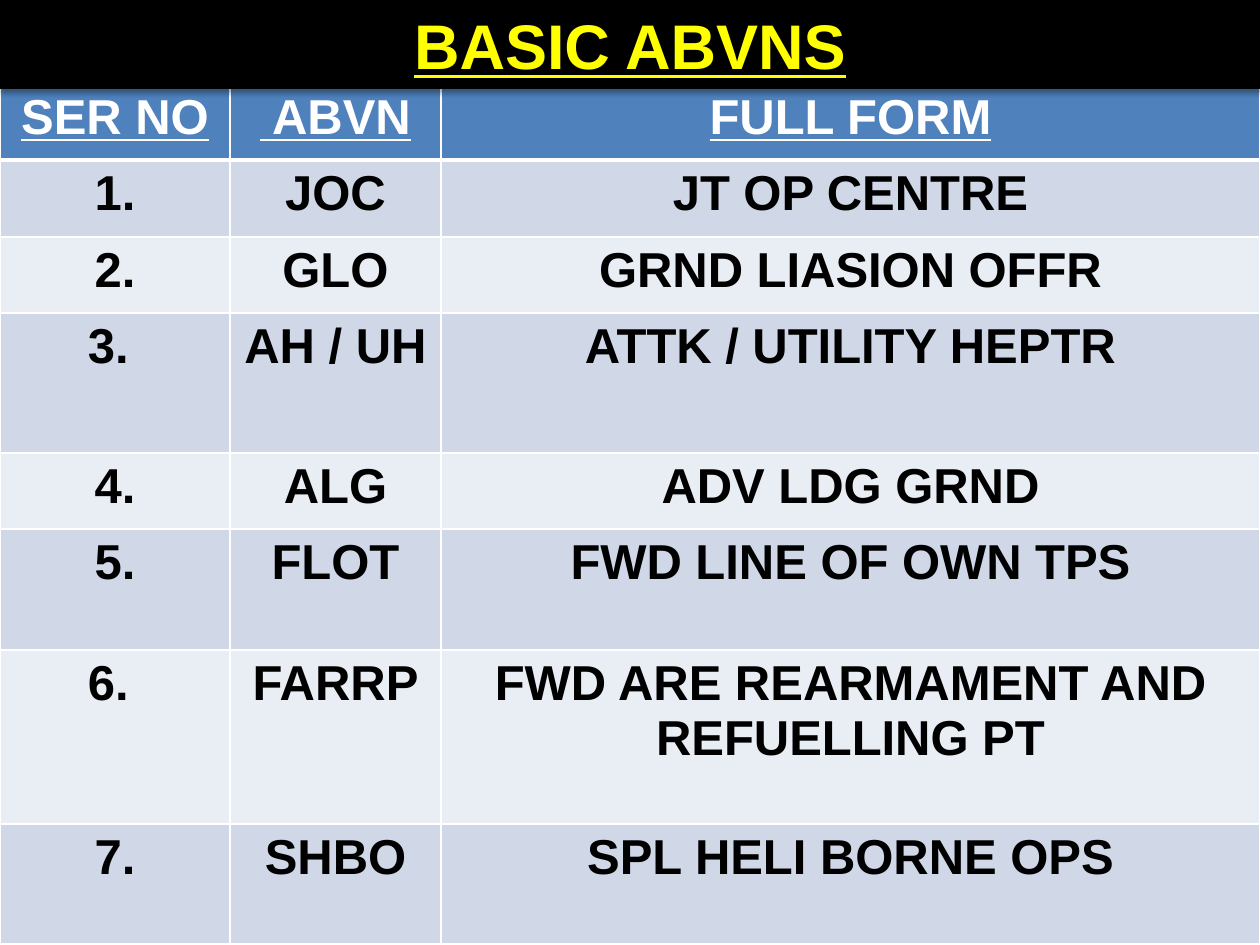
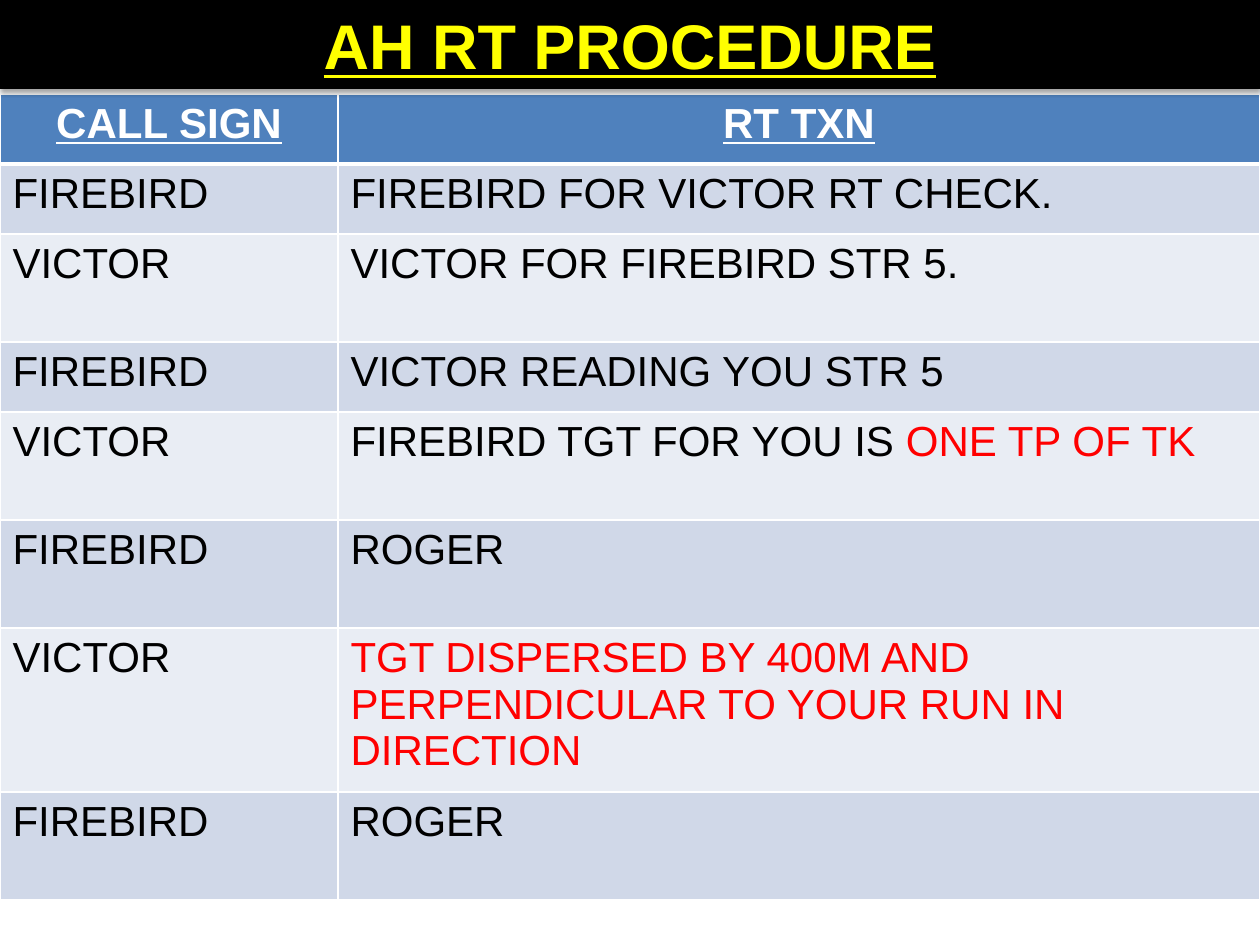
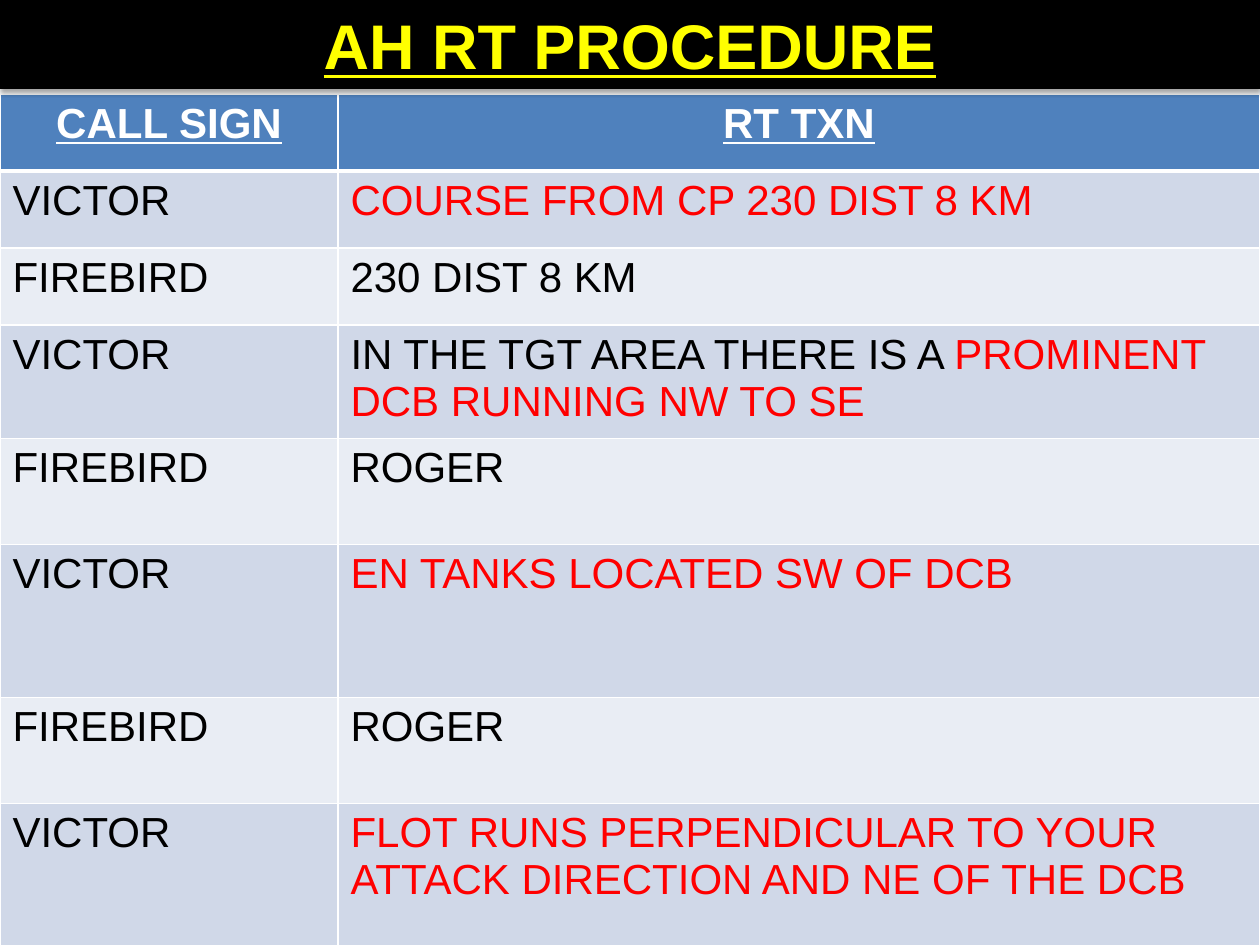
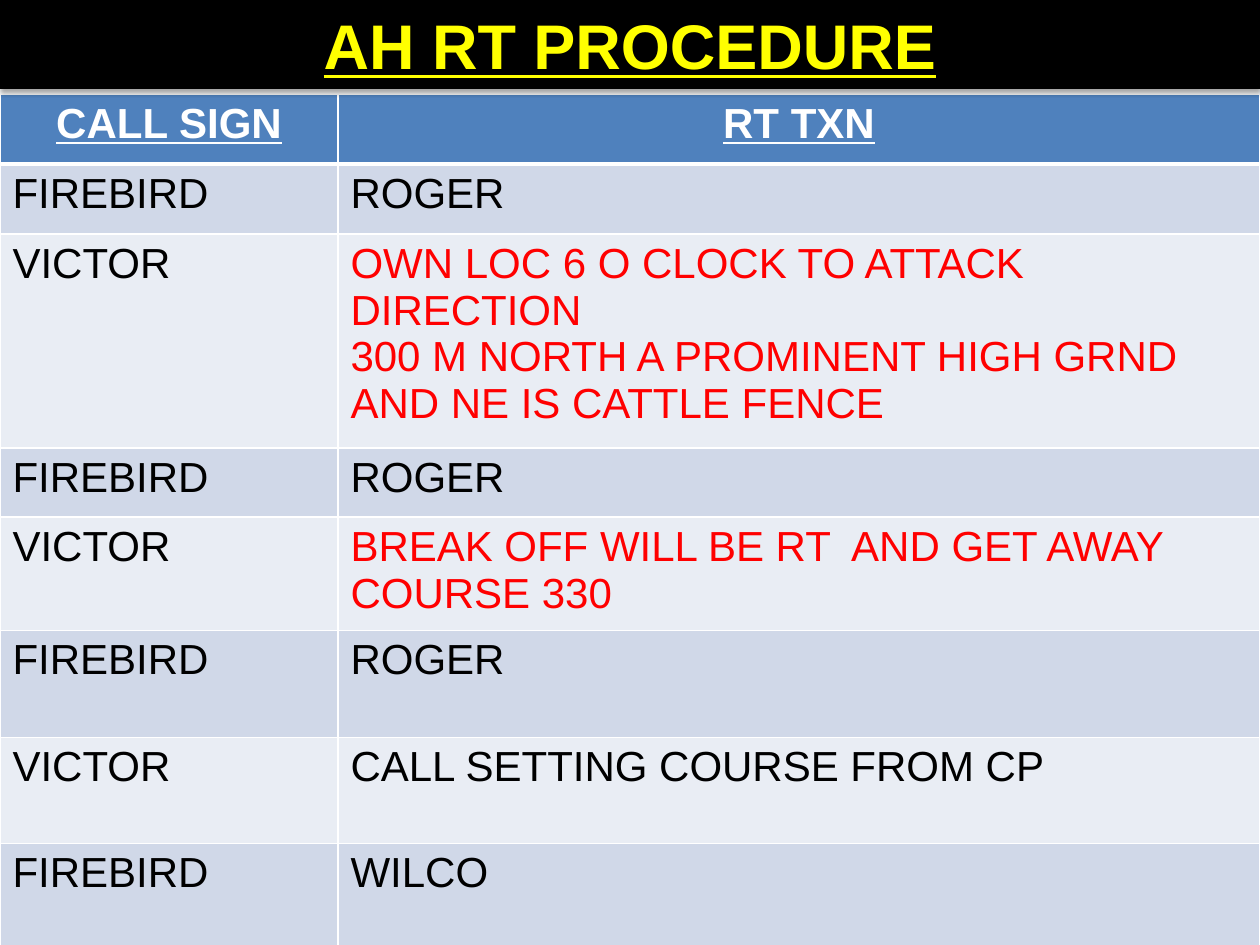
from lxml import etree
from pptx import Presentation
from pptx.dml.color import RGBColor
from pptx.enum.shapes import MSO_SHAPE
from pptx.enum.text import MSO_ANCHOR, MSO_AUTO_SIZE, PP_ALIGN
from pptx.oxml.ns import qn
from pptx.util import Emu, Pt

RECT = MSO_SHAPE.RECTANGLE
MIDDLE = MSO_ANCHOR.MIDDLE
GROW = MSO_AUTO_SIZE.SHAPE_TO_FIT_TEXT
CENTER, LEFT = PP_ALIGN.CENTER, PP_ALIGN.LEFT

PX_PER_INCH = 126
SLIDE_W, SLIDE_H = 1260, 945
TITLE_H = 89
FONT = "Arial"
TITLE_SIZE = 36
COLORS = {
    "title_band": "000000",
    "title": "FFFF00",
    "header": "4F81BD",
    "header_text": "FFFFFF",
    "band_dark": "D0D8E8",
    "band_light": "E9EDF4",
    "text": "000000",
    "key": "FF0000",
    "border": "FFFFFF",
    "shadow": "000000",
}

ABVN_STYLE = {"top": 84, "cols": (230, 211, 819), "size": 28, "bold": True, "align": CENTER}
RT_STYLE = {"top": 94, "cols": (338, 922), "size": 24, "bold": False, "align": LEFT}
RT_TITLE = "AH RT PROCEDURE"
RT_HEADER = ("CALL SIGN", "RT TXN")

# Each row is its height followed by its cells; text after "|" is in the key colour.
SLIDES = [
    ("BASIC ABVNS", ABVN_STYLE, [
        (76, "SER NO", " ABVN", "FULL FORM"),
        (77, "1.", "JOC", "JT OP CENTRE"),
        (76, "2.", "GLO", "GRND LIASION OFFR"),
        (140, "3. ", "AH / UH", "ATTK / UTILITY HEPTR"),
        (76, "4.", "ALG", "ADV LDG GRND"),
        (121, "5.", "FLOT", "FWD LINE OF OWN TPS"),
        (174, "6. ", "FARRP", "FWD ARE REARMAMENT AND REFUELLING PT"),
        (120, "7.", "SHBO", "SPL HELI BORNE OPS"),
    ]),
    (RT_TITLE, RT_STYLE, [
        (70, *RT_HEADER),
        (70, "FIREBIRD", "FIREBIRD FOR VICTOR RT CHECK."),
        (108, "VICTOR", "VICTOR FOR FIREBIRD STR 5."),
        (70, "FIREBIRD", "VICTOR READING YOU STR 5"),
        (108, "VICTOR", "FIREBIRD TGT FOR YOU IS |ONE TP OF TK"),
        (108, "FIREBIRD", "ROGER"),
        (156, "VICTOR", "|TGT DISPERSED BY 400M AND PERPENDICULAR TO YOUR RUN IN DIRECTION"),
        (108, "FIREBIRD", "ROGER"),
    ]),
    (RT_TITLE, RT_STYLE, [
        (77, *RT_HEADER),
        (77, "VICTOR", "|COURSE FROM CP 230 DIST 8 KM"),
        (77, "FIREBIRD", "230 DIST 8 KM"),
        (107, "VICTOR", "IN THE TGT AREA THERE IS A |PROMINENT DCB RUNNING NW TO SE"),
        (106, "FIREBIRD", "ROGER"),
        (153, "VICTOR", "|EN TANKS LOCATED SW OF DCB"),
        (106, "FIREBIRD", "ROGER"),
        (153, "VICTOR", "|FLOT RUNS PERPENDICULAR TO YOUR ATTACK DIRECTION AND NE OF THE DCB"),
    ]),
    (RT_TITLE, RT_STYLE, [
        (70, *RT_HEADER),
        (70, "FIREBIRD", "ROGER"),
        (200, "VICTOR", "|OWN LOC 6 O CLOCK TO ATTACK DIRECTION\n"
                        "|300 M NORTH A PROMINENT HIGH GRND AND NE IS CATTLE FENCE"),
        (69, "FIREBIRD", "ROGER"),
        (106, "VICTOR", "|BREAK OFF WILL BE RT  AND GET AWAY COURSE 330"),
        (107, "FIREBIRD", "ROGER"),
        (106, "VICTOR", "CALL SETTING COURSE FROM CP"),
        (106, "FIREBIRD", "WILCO"),
    ]),
]


def px(n):
    return Emu(round(n * 914400 / PX_PER_INCH))


def rgb(name):
    return RGBColor.from_string(COLORS[name])


def style_paragraph(p, size, bold, underline, align):
    p.alignment = align
    p.font.name = FONT
    p.font.size = Pt(size)
    p.font.bold = bold
    p.font.underline = underline


def add_run(p, text, color):
    r = p.add_run()
    r.text = text
    r.font.color.rgb = rgb(color)


def add_color(parent, name):
    return etree.SubElement(parent, qn("a:srgbClr"), val=COLORS[name])


def set_borders(cell, bottom):
    tc_pr = cell._tc.get_or_add_tcPr()
    for i, (side, width) in enumerate(zip("LRTB", (1, 1, 1, bottom))):
        ln = etree.Element(qn("a:ln" + side), w=str(Pt(width)))
        add_color(etree.SubElement(ln, qn("a:solidFill")), "border")
        tc_pr.insert(i, ln)


def fill_cell(cell, text, style, row):
    header = row == 0
    fill = "header" if header else "band_dark" if row % 2 else "band_light"
    cell.fill.solid()
    cell.fill.fore_color.rgb = rgb(fill)
    set_borders(cell, 3 if header else 1)
    tf = cell.text_frame
    for i, line in enumerate(text.split("\n")):
        p = tf.add_paragraph() if i else tf.paragraphs[0]
        style_paragraph(p, style["size"], header or style["bold"], header,
                        CENTER if header else style["align"])
        plain, _, key = line.partition("|")
        if plain:
            add_run(p, plain, "header_text" if header else "text")
        if key:
            add_run(p, key, "key")


def add_grid(s, style, rows):
    cols = style["cols"]
    height = sum(row[0] for row in rows)
    table = s.shapes.add_table(len(rows), len(cols), 0, px(style["top"]),
                               px(SLIDE_W), px(height)).table
    for col, width in zip(table.columns, cols):
        col.width = px(width)
    for i, (row_h, *texts) in enumerate(rows):
        table.rows[i].height = px(row_h)
        for j, text in enumerate(texts):
            fill_cell(table.cell(i, j), text, style, i)


def add_title(s, text):
    sp = s.shapes.add_shape(RECT, 0, 0, px(SLIDE_W), px(TITLE_H))
    sp.fill.solid()
    sp.fill.fore_color.rgb = rgb("title_band")
    sp.line.fill.background()
    sp.shadow.inherit = False
    effects = sp._element.spPr.find(qn("a:effectLst"))
    shadow = etree.SubElement(effects, qn("a:outerShdw"), blurRad=str(Pt(3.1)),
                              dist=str(Pt(1.8)), dir="5400000", rotWithShape="0")
    etree.SubElement(add_color(shadow, "shadow"), qn("a:alpha"), val="35000")
    tf = sp.text_frame
    tf.word_wrap = True
    tf.auto_size = GROW
    tf.vertical_anchor = MIDDLE
    p = tf.paragraphs[0]
    style_paragraph(p, TITLE_SIZE, True, True, CENTER)
    add_run(p, text, "title")


def main():
    prs = Presentation()
    prs.slide_width, prs.slide_height = px(SLIDE_W), px(SLIDE_H)
    for title, style, rows in SLIDES:
        s = prs.slides.add_slide(prs.slide_layouts[6])
        add_grid(s, style, rows)
        add_title(s, title)
    prs.save("out.pptx")


if __name__ == "__main__":
    main()
